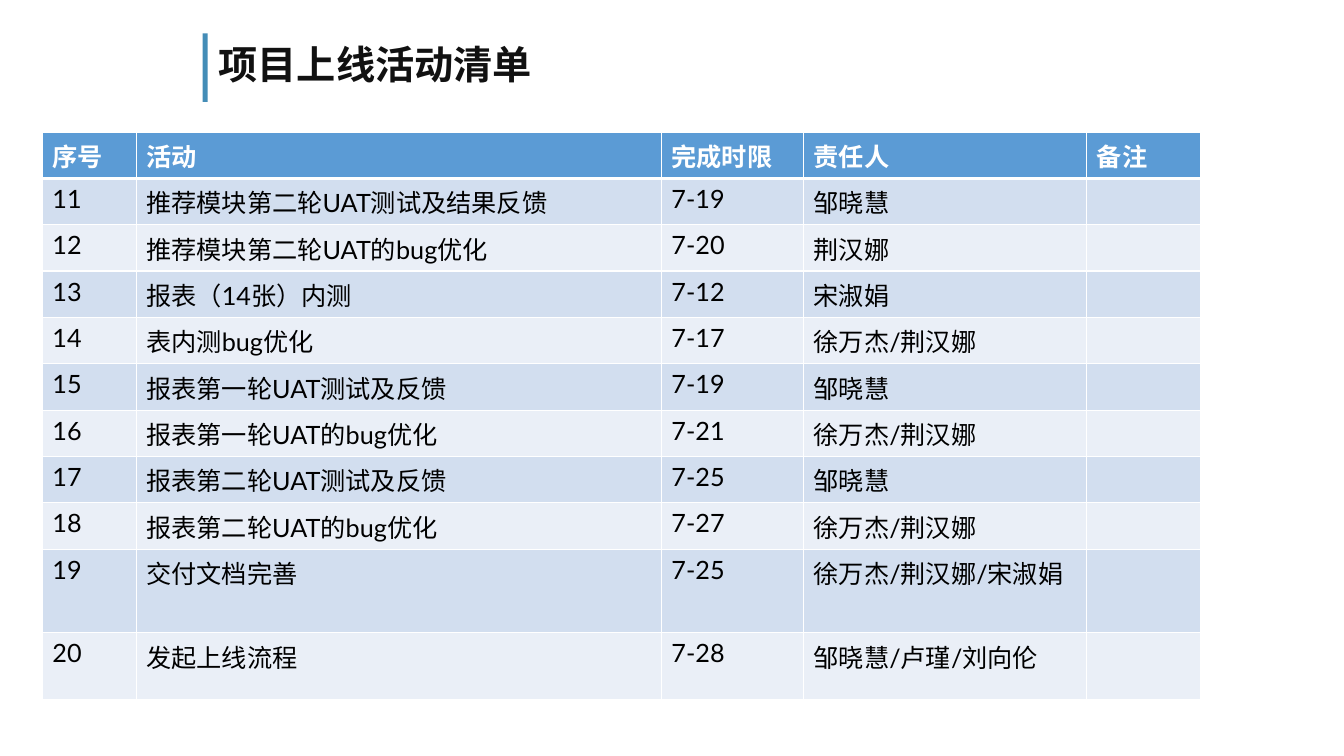
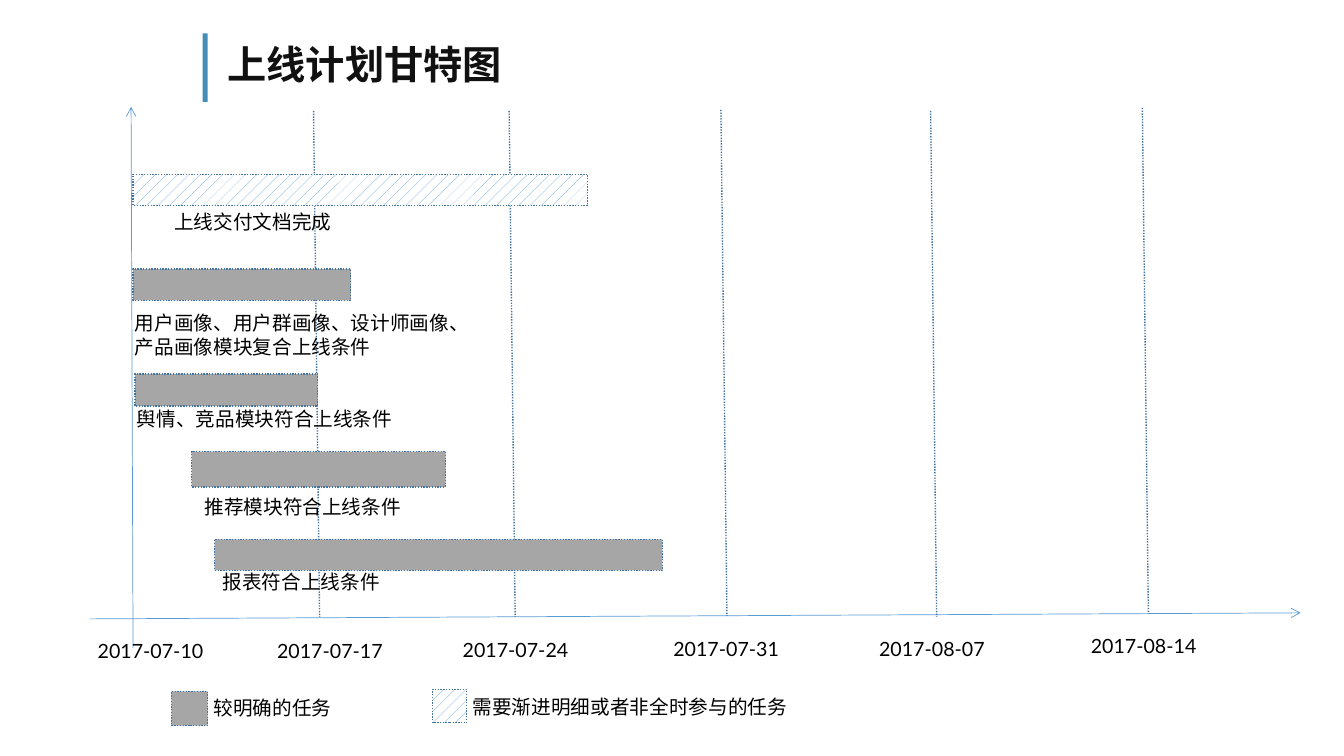
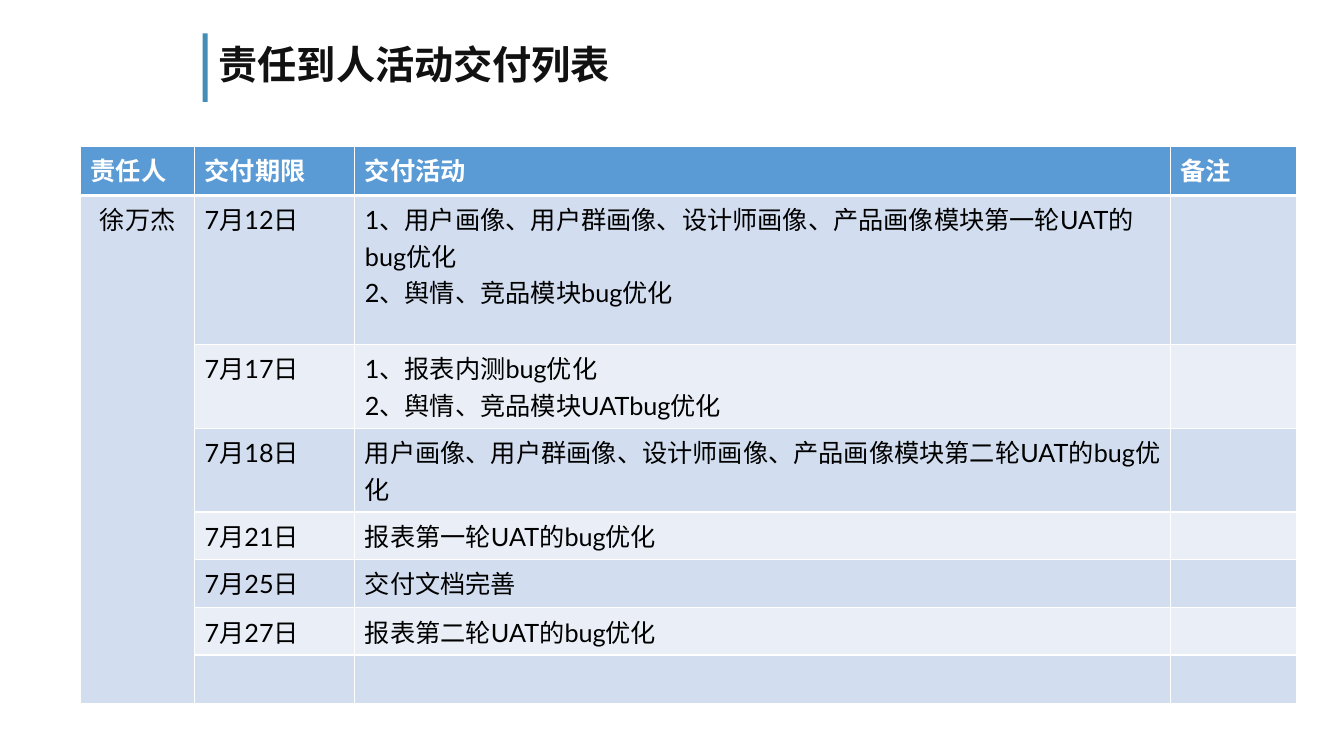
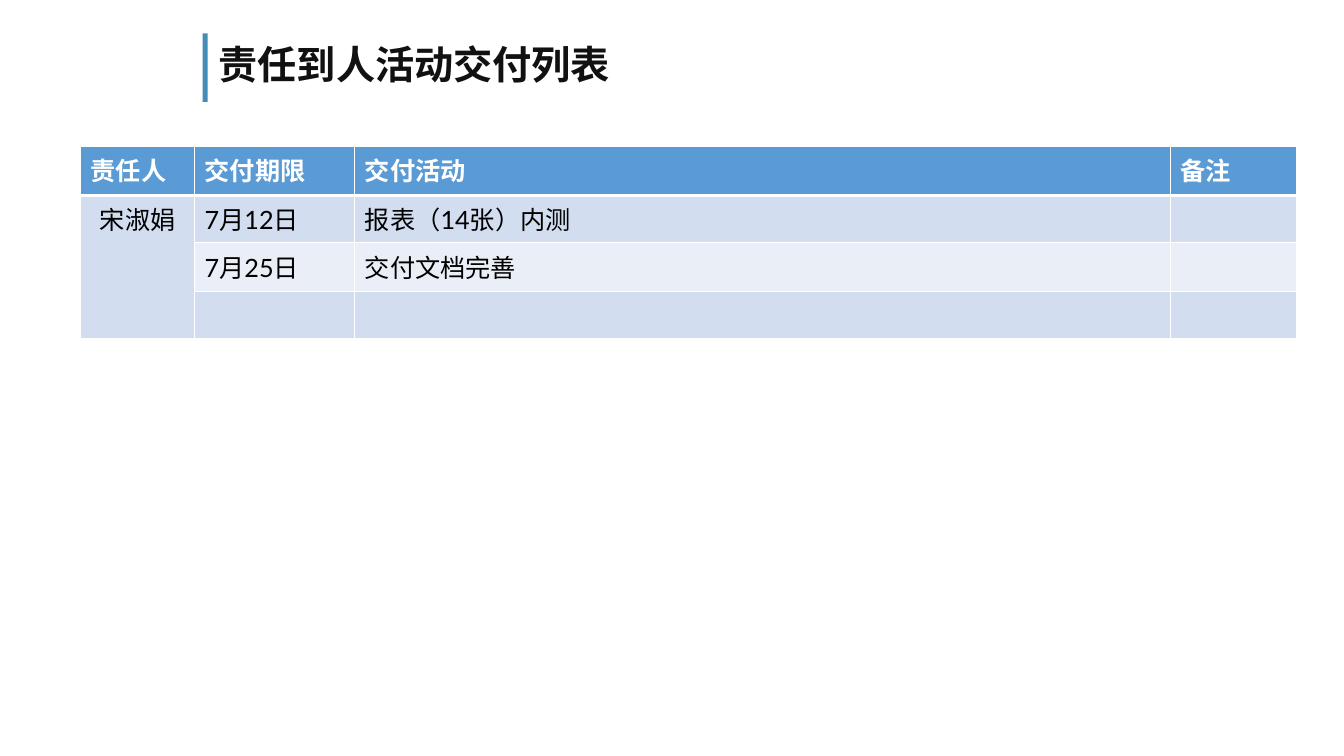
from dataclasses import dataclass

from lxml.etree import SubElement as Sub
from pptx import Presentation
from pptx.dml.color import RGBColor as Rgb
from pptx.enum.dml import MSO_LINE as Dash, MSO_PATTERN as Pat
from pptx.enum.shapes import MSO_CONNECTOR as Conn, MSO_SHAPE as Geo
from pptx.enum.text import MSO_ANCHOR as Anchor, MSO_AUTO_SIZE as Auto, PP_ALIGN as Align
from pptx.oxml.ns import qn
from pptx.util import Emu, Pt

UNIT = 9144  # EMU in one px, at 100 px to the inch


def px(*vals):
    return [Emu(v * UNIT) for v in vals]


@dataclass(frozen=True)
class Theme:
    ink: str = "111111"
    text: str = "000000"
    white: str = "FFFFFF"
    bar: str = "448DB7"
    blue: str = "5B9BD5"
    edge: str = "43739E"
    gray: str = "A6A6A6"
    bands: tuple = ("D2DEEF", "EAEFF7")
    latin: str = "Lato"
    asian: str = "Noto Sans CJK SC"
    big: int = 28
    body: int = 18
    note: int = 14


class Deck:
    def __init__(self, theme):
        self.theme = theme
        self.show = Presentation()
        self.show.slide_width, self.show.slide_height = px(1333, 750)
        self.slide = None

    # Slide with its title and accent bar
    def page(self, title, left=207):
        t = self.theme
        self.slide = self.show.slides.add_slide(self.show.slide_layouts[6])
        bar = self.rect(201, 33, 5, 68, t.bar)
        bar.line.fill.background()
        frame = self.frame(left, 33, 920, 66)
        frame.vertical_anchor = Anchor.MIDDLE
        para = frame.paragraphs[0]
        para.line_spacing = 0.9
        self.run(para, title, t.big, t.ink, True, t.asian)

    # Text
    def run(self, para, text, size, color, bold=False, face=None):
        run = para.add_run()
        run.text = text
        font = run.font
        font.name, font.size, font.bold = face or self.theme.latin, Pt(size), bold
        font.color.rgb = Rgb.from_string(color)
        Sub(run._r.get_or_add_rPr(), qn("a:ea"), typeface=self.theme.asian)

    def frame(self, x, y, w, h):
        frame = self.slide.shapes.add_textbox(*px(x, y, w, h)).text_frame
        frame.word_wrap = True
        return frame

    def label(self, text, x, y, w, h=34):
        frame = self.frame(x, y, w, h)
        frame.auto_size = Auto.SHAPE_TO_FIT_TEXT
        self.run(frame.paragraphs[0], text, self.theme.note, self.theme.text)

    # Shapes
    def rect(self, x, y, w, h, color):
        box = self.slide.shapes.add_shape(Geo.RECTANGLE, *px(x, y, w, h))
        box.shadow.inherit = False
        box.fill.solid()
        box.fill.fore_color.rgb = Rgb.from_string(color)
        return box

    def task(self, x, y, w, h, firm=True):
        t = self.theme
        box = self.rect(x, y, w, h, t.gray)
        if not firm:
            box.fill.patterned()
            box.fill.pattern = Pat.PERCENT_10
            box.fill.fore_color.rgb = Rgb.from_string(t.blue)
            box.fill.back_color.rgb = Rgb.from_string(t.white)
        self.pen(box.line, t.edge, 1, True)

    def pen(self, line, color, width, dots=False):
        line.color.rgb = Rgb.from_string(color)
        line.width = Pt(width)
        if dots:
            line.dash_style = Dash.ROUND_DOT

    def line(self, x1, y1, x2, y2, axis=False):
        t = self.theme
        link = self.slide.shapes.add_connector(Conn.STRAIGHT, *px(x1, y1, x2, y2))
        if axis:
            self.pen(link.line, t.blue, 0.5)
            Sub(link.line._get_or_add_ln(), qn("a:tailEnd"), type="arrow")
        else:
            self.pen(link.line, t.edge, 1, True)
        Sub(link._element.spPr, qn("a:effectLst"))

    # Tables
    def cell(self, cell, text, row, mid):
        t = self.theme
        head = row == 0
        prop = cell._tc.get_or_add_tcPr()
        for side in "LRTB":
            thick = (side == "B" and head) or (side == "T" and row == 1)
            edge = Sub(prop, qn("a:ln" + side), w=str(Pt(3 if thick else 1)))
            Sub(Sub(edge, qn("a:solidFill")), qn("a:srgbClr"), val=t.white)
        cell.fill.solid()
        cell.fill.fore_color.rgb = Rgb.from_string(t.blue if head else t.bands[(row - 1) % 2])
        frame = cell.text_frame
        for i, part in enumerate(text.split("\n") if text else []):
            para = frame.add_paragraph() if i else frame.paragraphs[0]
            if mid:
                para.alignment = Align.CENTER
            self.run(para, part, t.body, t.white if head else t.text, head)

    def table(self, x, y, cols, highs, rows, merge=False):
        size = px(x, y, sum(cols), sum(highs))
        grid = self.slide.shapes.add_table(len(rows), len(cols), *size).table
        for col, w in zip(grid.columns, px(*cols)):
            col.width = w
        for row, h in zip(grid.rows, px(*highs)):
            row.height = h
        for r, row in enumerate(rows):
            for c, text in enumerate(row):
                self.cell(grid.cell(r, c), text, r, merge and r > 0 and c == 0)
        if merge:
            grid.cell(1, 0).merge(grid.cell(len(rows) - 1, 0))

    # Page of one person's deliveries: (day, work, row height)
    def duty(self, name, items):
        self.page("责任到人活动交付列表")
        rows = [("责任人", "交付期限", "交付活动", "备注")]
        rows += [("" if i else name, day, work, "") for i, (day, work, _) in enumerate(items)]
        highs = [49] + [high for _, _, high in items]
        self.table(80, 145, (113, 159, 809, 125), highs, rows, True)


def main():
    deck = Deck(Theme())

    # Activity list
    deck.page("项目上线活动清单")
    acts = [
        ("推荐模块第二轮UAT测试及结果反馈", "7-19", "邹晓慧"),
        ("推荐模块第二轮UAT的bug优化", "7-20", "荆汉娜"),
        ("报表（14张）内测", "7-12", "宋淑娟"),
        ("表内测bug优化", "7-17", "徐万杰/荆汉娜"),
        ("报表第一轮UAT测试及反馈", "7-19", "邹晓慧"),
        ("报表第一轮UAT的bug优化", "7-21", "徐万杰/荆汉娜"),
        ("报表第二轮UAT测试及反馈", "7-25", "邹晓慧"),
        ("报表第二轮UAT的bug优化", "7-27", "徐万杰/荆汉娜"),
        ("交付文档完善", "7-25", "徐万杰/荆汉娜/宋淑娟"),
        ("发起上线流程", "7-28", "邹晓慧/卢瑾/刘向伦"),
    ]
    rows = [("序号", "活动", "完成时限", "责任人", "备注")]
    rows += [(str(n), *act, "") for n, act in enumerate(acts, 11)]
    # Row 19 holds two lines
    deck.table(42, 131, (93, 521, 141, 281, 113), [46] * 9 + [83, 66], rows)

    # Gantt chart: axes, week lines and dates
    deck.page("上线计划甘特图", 216)
    deck.line(132, 643, 130, 106, True)
    deck.line(89, 614, 1290, 608, True)
    for x, y in ((311, 110), (505, 110), (715, 109), (923, 110), (1133, 107)):
        deck.line(x, y, x + 6, y + 502)
    for day, x, y in (
        ("07-10", 87, 629), ("07-17", 265, 629), ("07-24", 449, 628),
        ("07-31", 658, 627), ("08-07", 862, 627), ("08-14", 1072, 624),
    ):
        deck.label("2017-" + day, x, y, 178)

    # Tasks and legend: bar, firmness, label, label place
    for bar, firm, text, spot in (
        ((132, 173, 451, 31), False, "上线交付文档完成", (163, 203, 312)),
        ((132, 267, 216, 31), True, "用户画像、用户群画像、设计师画像、产品画像模块复合上线条件",
         (124, 304, 339, 57)),
        ((134, 371, 181, 32), True, "舆情、竞品模块符合上线条件", (126, 399, 312)),
        ((190, 448, 252, 35), True, "推荐模块符合上线条件", (193, 486, 312)),
        ((213, 535, 444, 31), True, "报表符合上线条件", (211, 561, 312)),
        ((170, 686, 36, 34), True, "较明确的任务", (202, 685, 145)),
        ((429, 684, 34, 33), False, "需要渐进明细或者非全时参与的任务", (459, 684, 335)),
    ):
        deck.task(*bar, firm)
        deck.label(text, *spot)

    # Deliveries by person
    deck.duty("徐万杰", [
        ("7月12日", "1、用户画像、用户群画像、设计师画像、产品画像模块第一轮UAT的bug优化\n"
                   "2、舆情、竞品模块bug优化", 148),
        ("7月17日", "1、报表内测bug优化\n2、舆情、竞品模块UATbug优化", 83),
        ("7月18日", "用户画像、用户群画像、设计师画像、产品画像模块第二轮UAT的bug优化", 83),
        ("7月21日", "报表第一轮UAT的bug优化", 47),
        ("7月25日", "交付文档完善", 48),
        ("7月27日", "报表第二轮UAT的bug优化", 47),
        ("", "", 48),
    ])
    deck.duty("宋淑娟", [
        ("7月12日", "报表（14张）内测", 47),
        ("7月25日", "交付文档完善", 48),
        ("", "", 47),
    ])

    deck.show.save("out.pptx")


if __name__ == "__main__":
    main()
